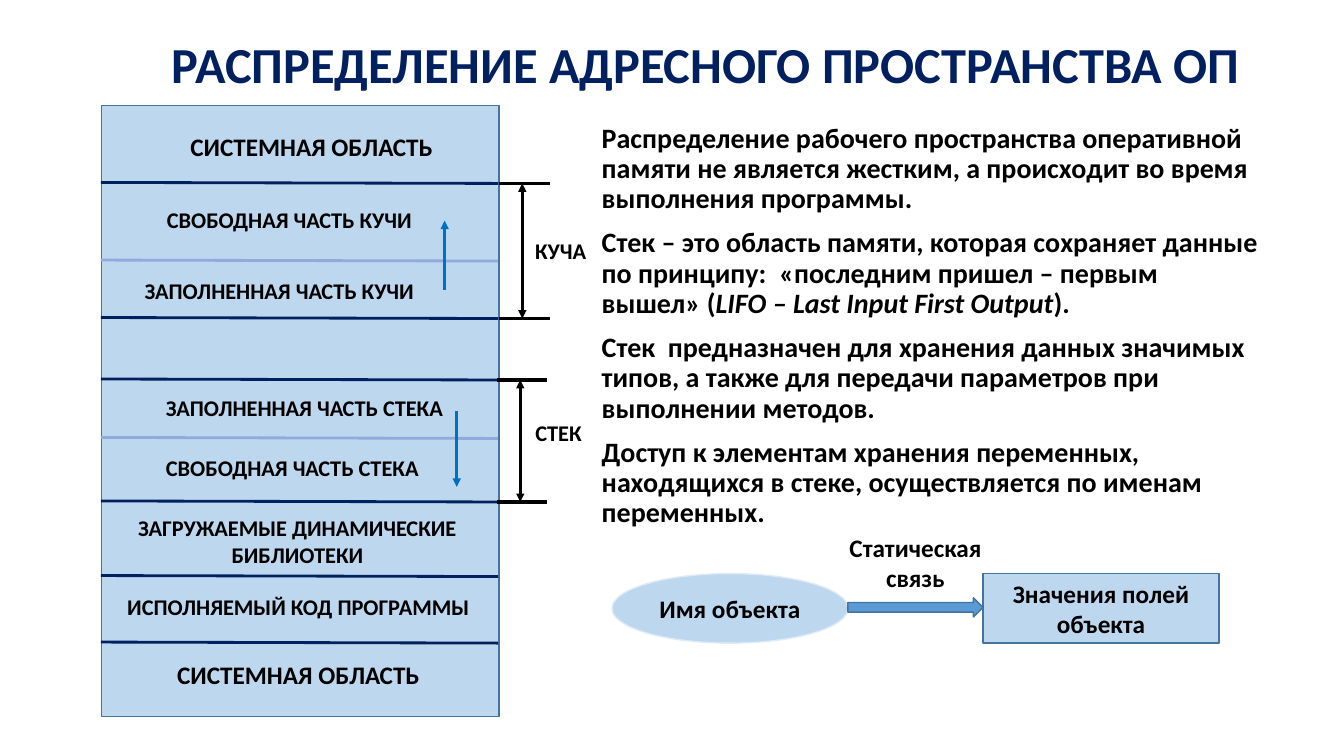
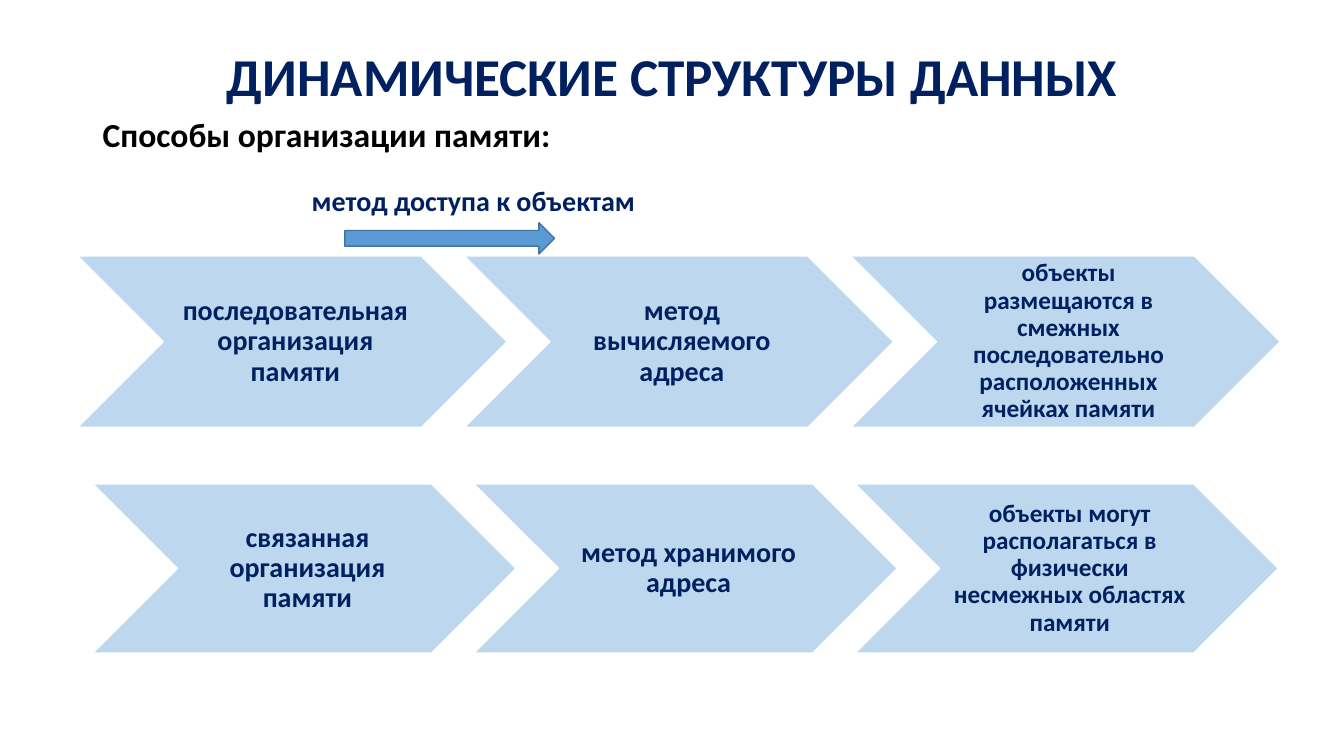
from pptx import Presentation
from pptx.dml.color import RGBColor
from pptx.enum import shapes, text
from pptx.oxml.ns import qn
from pptx.util import Inches, Pt
from lxml import etree

FONT = "Calibri"
NAVY, BLACK, WHITE = "002060", "000000", "FFFFFF"
PALE, PALER, MID = "BDD7EE", "DEEBF7", "8FAADC"
ARROW, EDGE, GROWTH = "5B9BD5", "43739E", "0070C0"
CENTER, LEFT = text.PP_ALIGN.CENTER, text.PP_ALIGN.LEFT
TOP, MIDDLE = text.MSO_ANCHOR.TOP, text.MSO_ANCHOR.MIDDLE
SHAPE = shapes.MSO_SHAPE


def paint(color_format, color):
    color_format.rgb = RGBColor.from_string(color)


def write(tf, paragraphs, size, color=BLACK, align=CENTER, anchor=TOP,
          line_spacing=1.0, before=0):
    """Each paragraph is a string or a list of (string, italic) runs."""
    tf.word_wrap = True
    tf.vertical_anchor = anchor
    for i, runs in enumerate(paragraphs):
        p = tf.paragraphs[0] if i == 0 else tf.add_paragraph()
        p.alignment = align
        p.line_spacing = line_spacing
        p.space_before = Pt(before)
        for words, italic in [(runs, False)] if isinstance(runs, str) else runs:
            r = p.add_run()
            r.text = words
            r.font.name, r.font.size = FONT, Pt(size)
            r.font.bold, r.font.italic = True, italic
            paint(r.font.color, color)


def add_text(s, box, paragraphs, size, **style):
    sp = s.shapes.add_textbox(*map(Inches, box))
    write(sp.text_frame, paragraphs, size, **style)


def add_box(s, kind, box, fill=PALE, edge=EDGE):
    sp = s.shapes.add_shape(kind, *map(Inches, box))
    sp.shadow.inherit = False
    sp.fill.solid()
    paint(sp.fill.fore_color, fill)
    paint(sp.line.color, edge)
    sp.line.width = Pt(1)
    return sp


def add_line(s, start, end, color, width=2.0, heads=()):
    """heads names the arrowheads wanted: headEnd, tailEnd, in that order."""
    c = s.shapes.add_connector(shapes.MSO_CONNECTOR.STRAIGHT,
                               *map(Inches, (*start, *end)))
    paint(c.line.color, color)
    c.line.width = Pt(width)
    ln = c.line._get_or_add_ln()
    for head in heads:
        etree.SubElement(ln, qn("a:" + head), type="triangle")
    etree.SubElement(c._element.spPr, qn("a:effectLst"))


def add_title(s, box, title, size):
    add_text(s, box, [title], size, color=NAVY, anchor=MIDDLE, line_spacing=0.9)


def add_body(s, box, paragraphs, size):
    add_text(s, box, paragraphs, size, align=LEFT, line_spacing=0.9, before=10)


def memory_map(s, x, y, w, h):
    add_box(s, SHAPE.RECTANGLE, (x, y, w, h))
    dividers = [(0.76, NAVY), (1.53, MID), (2.1, NAVY), (2.71, NAVY),
                (3.29, MID), (3.92, NAVY), (4.66, NAVY), (5.32, NAVY)]
    for dy, color in dividers:
        add_line(s, (x - 0.01, y + dy), (x + w - 0.01, y + dy + 0.01), color)

    # label, size, centre and top within the map
    labels = [
        ("СИСТЕМНАЯ ОБЛАСТЬ", 18, 2.08, 0.2),
        ("СВОБОДНАЯ ЧАСТЬ КУЧИ", 16, 1.86, 0.95),
        ("ЗАПОЛНЕННАЯ ЧАСТЬ КУЧИ", 16, 1.76, 1.65),
        ("ЗАПОЛНЕННАЯ ЧАСТЬ СТЕКА", 16, 2.01, 2.81),
        ("СВОБОДНАЯ ЧАСТЬ СТЕКА", 16, 1.89, 3.41),
        ("ЗАГРУЖАЕМЫЕ ДИНАМИЧЕСКИЕ БИБЛИОТЕКИ", 16, 1.94, 4.0),
        ("ИСПОЛНЯЕМЫЙ КОД ПРОГРАММЫ", 16, 1.95, 4.79),
        ("СИСТЕМНАЯ ОБЛАСТЬ", 18, 1.95, 5.44),
    ]
    label_w = 3.8
    for label, size, cx, dy in labels:
        add_text(s, (x + cx - label_w / 2, y + dy, label_w, 0.37), [label], size)

    for dx, start, end in [(3.4, 1.83, 1.14), (3.52, 3.03, 3.78)]:
        add_line(s, (x + dx, y + start), (x + dx, y + end), GROWTH,
                 heads=["tailEnd"])


def span_marker(s, x, top, bottom, label, label_top):
    """Two ticks joined by a double arrow, with the name beside it."""
    for y in (top, bottom):
        add_line(s, (x, y), (x + 0.5, y), BLACK, 2.25)
    add_line(s, (x + 0.23, top), (x + 0.23, bottom), BLACK,
             heads=["headEnd", "tailEnd"])
    add_text(s, (x + 0.21, label_top, 0.8, 0.37), [label], 16)


def static_link(s, x, y, w, h):
    """Object name, arrow and field values from left to right."""
    node_w = 2.34
    arrow_w = w - 2 * node_w
    nodes = [(SHAPE.OVAL, x, PALER, "Имя объекта"),
             (SHAPE.RECTANGLE, x + w - node_w, EDGE, "Значения полей объекта")]
    for kind, left, edge, label in nodes:
        sp = add_box(s, kind, (left, y, node_w, h), edge=edge)
        write(sp.text_frame, [label], 18, anchor=MIDDLE)
    add_box(s, SHAPE.RIGHT_ARROW, (x + node_w, y + 0.24, arrow_w, 0.19), ARROW)
    add_text(s, (x + node_w - 0.15, y - 0.46, arrow_w + 0.3, 0.71),
             ["Статическая связь"], 18)


def chevron_row(s, x, y, w, h, labels):
    """Chevrons that overlap by a tenth of their width; the last is smaller type."""
    for i, label in enumerate(labels):
        sp = add_box(s, SHAPE.CHEVRON, (x + i * 0.9 * w, y, w, h), edge=WHITE)
        tf = sp.text_frame
        tf.margin_left = Inches(0.09)
        tf.margin_right = tf.margin_top = tf.margin_bottom = Inches(0.03)
        write(tf, [label], 18 if i == len(labels) - 1 else 20, color=NAVY,
              anchor=MIDDLE, line_spacing=0.9)


def access_arrow(s, x, y):
    add_text(s, (x, y, 3.43, 0.44), ["метод доступа к объектам"], 20, color=NAVY)
    add_box(s, SHAPE.RIGHT_ARROW, (x + 0.44, y + 0.44, 2.08, 0.31), ARROW)


def address_space_slide(s):
    add_title(s, (1.42, 0.15, 11.17, 1.03),
              "РАСПРЕДЕЛЕНИЕ АДРЕСНОГО ПРОСТРАНСТВА ОП", 36)
    add_body(s, (5.87, 1.18, 6.74, 4.3), [
        "Распределение рабочего пространства оперативной памяти не является "
        "жестким, а происходит во время выполнения программы.",
        [("Стек – это область памяти, которая сохраняет данные по принципу:  "
          "«последним пришел – первым вышел» (", False),
         ("LIFO – Last Input First Output", True), (").", False)],
        "Стек  предназначен для хранения данных значимых типов, а также для "
        "передачи параметров при выполнении методов.",
        "Доступ к элементам хранения переменных, находящихся в стеке, "
        "осуществляется по именам переменных.",
    ], 20)
    memory_map(s, 1.01, 1.05, 3.94, 6.06)
    span_marker(s, 4.95, 1.82, 3.16, "КУЧА", 2.3)
    span_marker(s, 4.93, 3.77, 4.98, "СТЕК", 4.11)
    static_link(s, 6.07, 5.69, 6.02, 0.69)


def data_structures_slide(s):
    add_title(s, (0.92, 0.4, 11.5, 0.78), "ДИНАМИЧЕСКИЕ СТРУКТУРЫ ДАННЫХ", 38)
    add_body(s, (0.92, 1.13, 11.5, 0.6), ["Способы организации памяти:"], 24)
    chevron_row(s, 0.77, 2.54, 4.26, 1.7, [
        "последовательная организация памяти",
        "метод вычисляемого адреса",
        "объекты размещаются в смежных последовательно расположенных "
        "ячейках памяти"])
    chevron_row(s, 0.92, 4.8, 4.2, 1.68, [
        "связанная организация памяти",
        "метод хранимого адреса",
        "объекты могут располагаться в физически несмежных областях памяти"])
    access_arrow(s, 2.98, 1.77)


def main():
    prs = Presentation()
    prs.slide_width, prs.slide_height = Inches(13.33), Inches(7.5)
    for build in (address_space_slide, data_structures_slide):
        build(prs.slides.add_slide(prs.slide_layouts[6]))
    prs.save("out.pptx")


if __name__ == "__main__":
    main()
